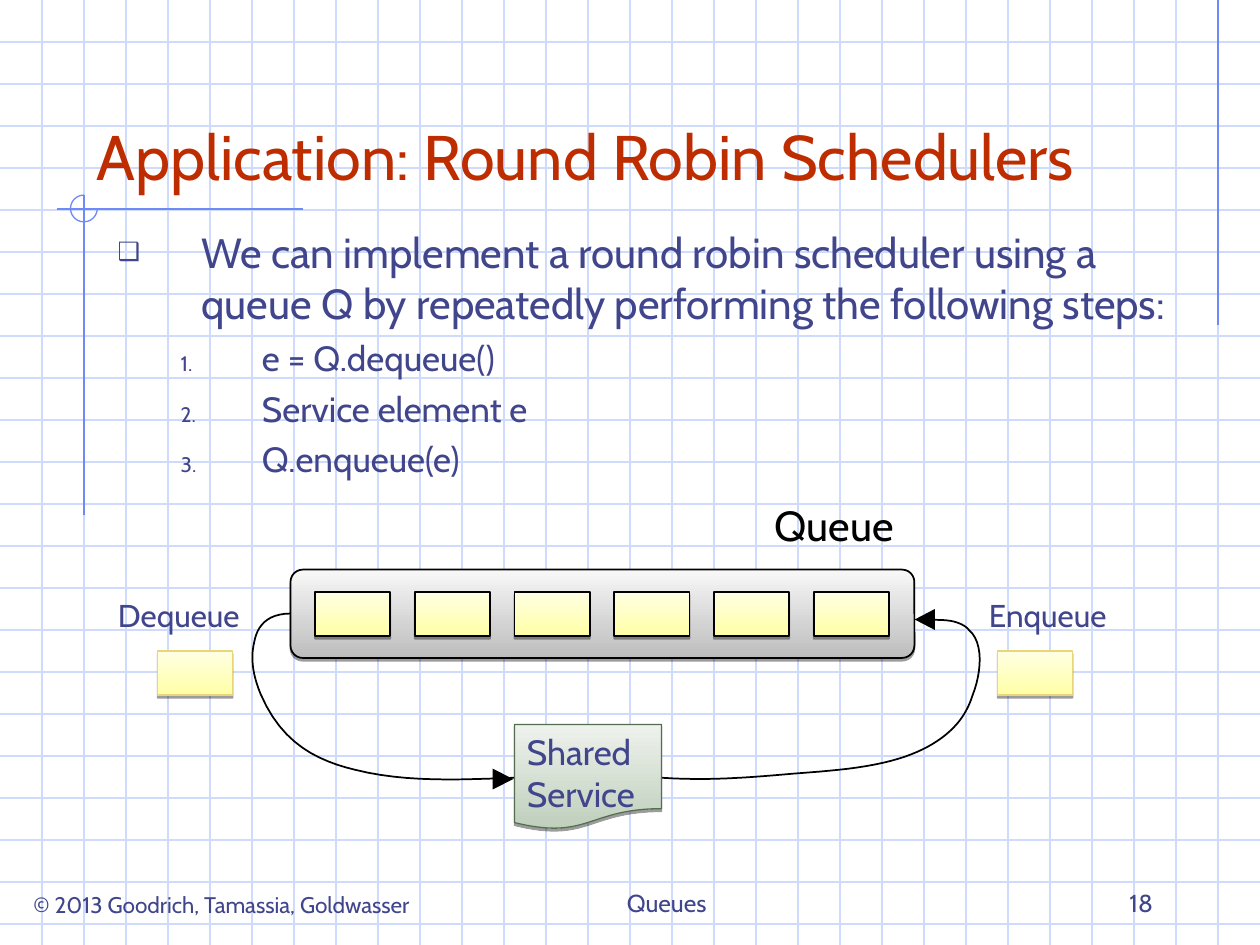
from dataclasses import dataclass

from lxml import etree
from pptx import Presentation
from pptx import util as u
from pptx.dml import color as col
from pptx.enum import shapes as sh
from pptx.enum import text as tx
from pptx.oxml import ns

Pt, RGB = u.Pt, col.RGBColor
KIND, ALIGN, ANCHOR = sh.MSO_SHAPE, tx.PP_ALIGN, tx.MSO_ANCHOR

FONT = "Cabin"
GRID = RGB(0xCF, 0xDB, 0xFD)
BLUE = RGB(0x6F, 0x89, 0xF7)
NAVY = RGB(0x40, 0x45, 0x8C)
RED = RGB(0xBE, 0x2D, 0x00)
BLACK = RGB(0, 0, 0)
GOLD = RGB(0xE9, 0xD5, 0x7C)
MOSS = RGB(0x54, 0x6E, 0x4F)
YELLOW = (RGB(0xFF, 0xFF, 0xE4), RGB(0xFF, 0xFF, 0xA5))
GREY = (RGB(0xF8, 0xF8, 0xF8), RGB(0xBD, 0xBD, 0xBD))
GREEN = (RGB(0xEE, 0xF2, 0xED), RGB(0xBF, 0xCF, 0xBC))

WIDE, HIGH, STEP = 720, 540, 24


@dataclass
class Box:
    left: float
    top: float
    width: float
    height: float

    def lengths(self) -> list:
        return [Pt(v) for v in (self.left, self.top, self.width, self.height)]


@dataclass
class Label:
    words: str
    box: Box
    size: float
    align: ALIGN = ALIGN.LEFT
    anchor: ANCHOR = ANCHOR.TOP
    color: RGB = NAVY


@dataclass
class Item:
    words: str
    size: float
    level: int
    left: float
    hang: float
    before: float
    mark: tuple


@dataclass
class Block:
    box: Box
    fill: tuple
    edge: RGB = GOLD
    weight: float = 0.75
    kind: KIND = KIND.RECTANGLE


def child(parent, tag: str, **attrs):
    return etree.SubElement(parent, ns.qn(tag), attrs)


def set_all(obj, values: dict) -> None:
    for name, value in values.items():
        setattr(obj, name, value)


def write(para, words: str, size: float, color: RGB) -> None:
    para.text = words
    for run in para.runs:
        set_all(run.font, {"name": FONT, "size": Pt(size), "bold": False})
        run.font.color.rgb = color


def fill_text(shape, label: Label) -> None:
    set_all(shape.text_frame, {"word_wrap": True, "auto_size": tx.MSO_AUTO_SIZE.NONE,
                               "vertical_anchor": label.anchor})
    para = shape.text_frame.paragraphs[0]
    para.alignment = label.align
    write(para, label.words, label.size, label.color)


def draw_label(slide, label: Label) -> None:
    fill_text(slide.shapes.add_textbox(*label.box.lengths()), label)


def draw_line(slide, x1: float, y1: float, x2: float, y2: float, color: RGB) -> None:
    line = slide.shapes.add_connector(sh.MSO_CONNECTOR.STRAIGHT, Pt(x1), Pt(y1), Pt(x2), Pt(y2))
    line.line.color.rgb = color
    line.line.width = Pt(0.75)
    child(line.element.spPr, "a:effectLst")


def draw_block(slide, block: Block):
    shape = slide.shapes.add_shape(block.kind, *block.box.lengths())
    shape.fill.gradient()
    shape.fill.gradient_angle = 270
    for stop, color, place in zip(shape.fill.gradient_stops, block.fill, (0, 1)):
        stop.color.rgb = color
        stop.position = place
    shape.line.color.rgb = block.edge
    shape.line.width = Pt(block.weight)
    # Hard shadow straight below
    effect = child(shape.element.spPr, "a:effectLst")
    drop = child(effect, "a:outerShdw", blurRad="0", dist=str(Pt(1.6)), dir="5400000",
                 algn="ctr", rotWithShape="0")
    child(child(drop, "a:srgbClr", val="000000"), "a:alpha", val="38000")
    return shape


def draw_path(slide, points: list, closed: bool = False) -> None:
    (x, y), *rest = [(Pt(a), Pt(b)) for a, b in points]
    maker = slide.shapes.build_freeform(x, y)
    maker.add_line_segments(rest, close=closed)
    shape = maker.convert_to_shape()
    shape.shadow.inherit = False
    if closed:
        shape.fill.solid()
        shape.fill.fore_color.rgb = BLACK
        shape.line.fill.background()
    else:
        shape.fill.background()
        shape.line.color.rgb = BLACK
        shape.line.width = Pt(1)


def smooth(knots: list, count: int = 12) -> list:
    """Points along a chain of cubic curves."""
    points = [knots[0]]
    for i in range(0, len(knots) - 1, 3):
        for n in range(1, count + 1):
            t = n / count
            mix = ((1 - t) ** 3, 3 * t * (1 - t) ** 2, 3 * t * t * (1 - t), t ** 3)
            points.append(tuple(sum(m * k[axis] for m, k in zip(mix, knots[i:i + 4]))
                                for axis in (0, 1)))
    return points


def add_item(para, item: Item) -> None:
    props = para._p.get_or_add_pPr()
    set_all_attrs = {"marL": item.left, "indent": -item.hang}
    for name, value in set_all_attrs.items():
        props.set(name, str(Pt(value)))
    child(child(props, "a:buClr"), "a:srgbClr", val=str(NAVY))
    child(props, "a:buSzPct", val="60000")
    tag, attrs = item.mark
    child(props, tag, **attrs)
    set_all(para, {"level": item.level, "alignment": ALIGN.LEFT, "space_before": Pt(item.before)})
    write(para, item.words, item.size, NAVY)


def place(holder, box: Box) -> None:
    set_all(holder, dict(zip(("left", "top", "width", "height"), box.lengths())))
    holder.element.getparent().append(holder.element)  # above the grid


def draw_back(slide) -> None:
    for y in range(STEP, HIGH, STEP):
        draw_line(slide, 0, y, WIDE, y, GRID)
    for x in range(STEP, WIDE, STEP):
        draw_line(slide, x, 0, x, HIGH, GRID)
    for ends in ((696, 0, 696, 186), (173, 119.5, 32.5, 119.5), (48, 111.5, 48, 294.5)):
        draw_line(slide, *ends, BLUE)
    arc = slide.shapes.add_shape(KIND.ARC, *Box(40.3, 111.5, 15.3, 15.3).lengths())
    arc.adjustments[0], arc.adjustments[1] = 0, 162  # 0 to 270 degrees
    arc.shadow.inherit = False
    arc.fill.background()
    arc.line.color.rgb = BLUE
    arc.line.width = Pt(0.75)


def main() -> None:
    deck = Presentation()
    set_all(deck, {"slide_width": Pt(WIDE), "slide_height": Pt(HIGH)})
    slide = deck.slides.add_slide(deck.slide_layouts[1])
    draw_back(slide)

    # Title and list
    head = Label("Application: Round Robin Schedulers", Box(48, 24, 612, 90), 36,
                 anchor=ANCHOR.BOTTOM, color=RED)
    title, body = slide.shapes.title, slide.placeholders[1]
    place(title, head.box)
    fill_text(title, head)
    place(body, Box(60, 126, 630, 192))
    frame = body.text_frame
    set_all(frame, {"word_wrap": True, "auto_size": tx.MSO_AUTO_SIZE.NONE})
    number = ("a:buAutoNum", {"type": "arabicPeriod"})
    items = [Item("We can implement a round robin scheduler using a queue Q by repeatedly "
                  "performing the following steps:", 24, 0, 48, 48, 0, ("a:buChar", {"char": "❑"}))]
    items += [Item(words, 20, 1, 82.5, 46.5, 5, number)
              for words in ("e = Q.dequeue()", "Service element e", "Q.enqueue(e)")]
    for i, item in enumerate(items):
        add_item(frame.add_paragraph() if i else frame.paragraphs[0], item)

    # Queue with its six cells, and the loose cells beside it
    queue = draw_block(slide, Block(Box(166, 325.5, 356.5, 50.5), GREY, BLACK, 1,
                                    KIND.ROUNDED_RECTANGLE))
    queue.adjustments[0] = 0.14
    for i in range(6):
        draw_block(slide, Block(Box(180 + 57 * i, 338.25, 43, 25.25), YELLOW, BLACK, 1))
    for left in (90, 570):
        draw_block(slide, Block(Box(left, 372, 43, 25.25), YELLOW))

    # Curves out of and back into the queue
    leave = [(166.3, 350.6), (151.9, 350.6), (146.9, 358.6), (145.4, 366.5), (142.6, 377.3),
             (145.4, 388.1), (149, 396.7), (161.3, 425.5), (182.2, 434.9), (203, 439.9),
             (231.8, 447.1), (261.4, 445.7), (299.5, 444.2)]
    enter = [(373.7, 444.2), (386.6, 445), (388.8, 445), (390.2, 445), (409.7, 445.7),
             (429.8, 444.2), (453.6, 442.1), (473, 440.6), (495.4, 439.2), (514.1, 433.4),
             (527.8, 429.1), (539.3, 422.6), (547.2, 413.3), (550.8, 409), (553.7, 403.9),
             (555.8, 397.4), (560.9, 384.5), (562.3, 367.2), (553.7, 360), (551.5, 357.1),
             (547.2, 355.7), (544.3, 355), (540, 354.2), (536.4, 354.2), (530.6, 354.2)]
    for knots in (leave, enter):
        draw_path(slide, smooth(knots))
    for tip, base, mid in ((293.3, 281.5, 445.2), (522.7, 534.2, 354)):
        draw_path(slide, [(base, mid - 6), (tip, mid), (base, mid + 6)], closed=True)

    # Shared service
    spot = Box(294, 414, 84, 60)
    service = draw_block(slide, Block(spot, GREEN, MOSS, kind=KIND.FLOWCHART_DOCUMENT))
    fill_text(service, Label("Shared\vService", spot, 20))

    # Labels and footer
    low = ANCHOR.BOTTOM
    for label in (
        Label("Queue", Box(435.5, 282, 90, 36), 24, color=BLACK),
        Label("Enqueue", Box(558, 337, 150, 29), 18),
        Label("Dequeue", Box(12, 337, 132, 29), 18, ALIGN.RIGHT),
        Label("© 2013 Goodrich, Tamassia, Goldwasser", Box(12, 492, 270, 36), 12.9, anchor=low),
        Label("Queues", Box(288, 492, 186, 36), 14, ALIGN.CENTER, low),
        Label("18", Box(516, 492, 150, 36), 14, ALIGN.RIGHT, low),
    ):
        draw_label(slide, label)

    deck.save("out.pptx")


if __name__ == "__main__":
    main()
